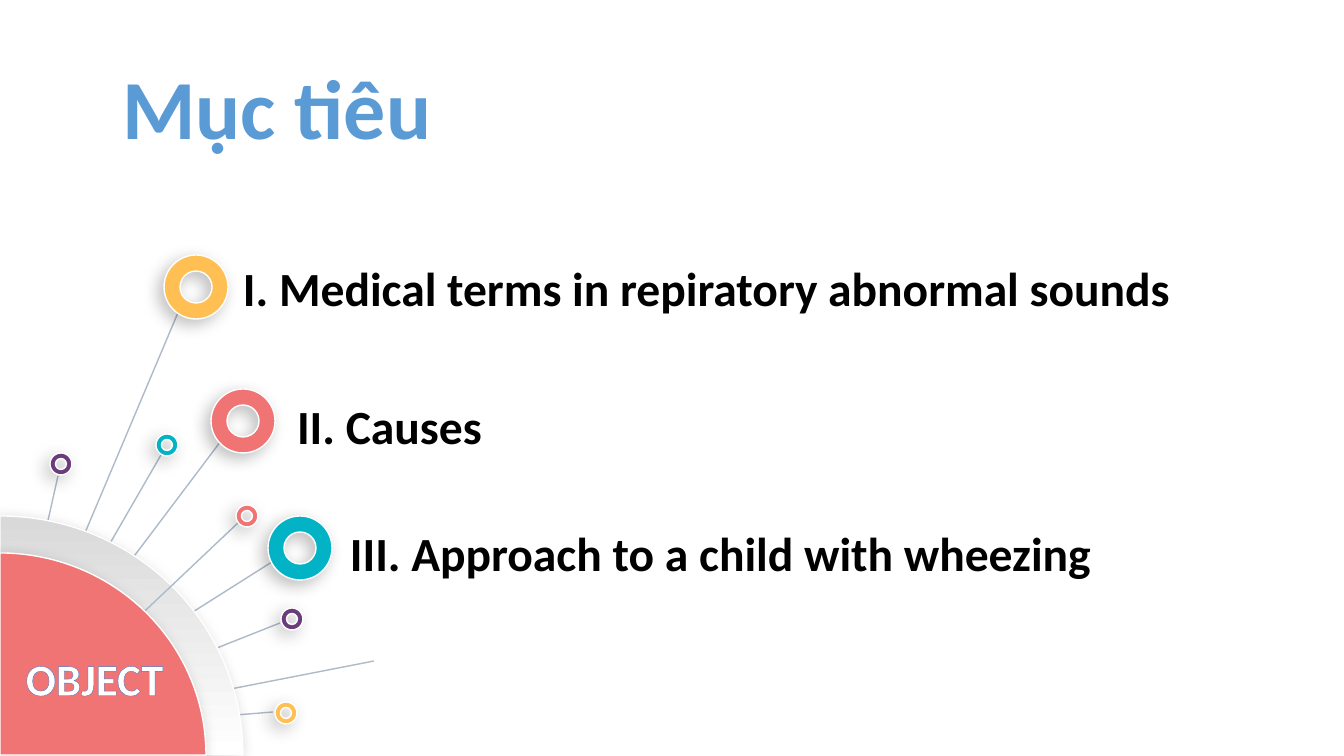
from dataclasses import dataclass
from math import cos, pi, sin

from lxml.etree import SubElement
from pptx import Presentation
from pptx.dml.color import RGBColor
from pptx.enum.shapes import MSO_CONNECTOR, MSO_SHAPE
from pptx.enum.text import MSO_ANCHOR, MSO_AUTO_SIZE, PP_ALIGN
from pptx.oxml.ns import qn
from pptx.util import Pt

EMU_PER_PX = 914400 / 100.8
TITLE_ONLY = 5


def px(length):
    return round(length * EMU_PER_PX)


def rgb(code):
    return RGBColor.from_string(code)


@dataclass(frozen=True)
class Theme:
    font: str = "Calibri"
    title: str = "5B9BD5"
    text: str = "000000"
    white: str = "FFFFFF"
    grey: str = "D9D9D9"
    ray: str = "ADBACA"
    letter_edge: str = "4472C4"
    shadow: str = "000000"
    yellow: str = "FFBF53"
    coral: str = "F07474"
    teal: str = "02B3C5"
    purple: str = "6A3C7C"
    title_size: int = 60
    goal_size: int = 34
    hub_size: int = 32


class SlidePainter:
    def __init__(self, page, theme):
        self.page = page
        self.theme = theme

    def add_text(self, box, text, size, color, align=PP_ALIGN.LEFT):
        frame = box.text_frame
        frame.word_wrap = True
        frame.auto_size = MSO_AUTO_SIZE.NONE
        para = frame.paragraphs[0]
        para.alignment = align
        span = para.add_run()
        span.text = text
        span.font.name = self.theme.font
        span.font.size = Pt(size)
        span.font.bold = True
        span.font.color.rgb = rgb(color)
        return span

    def title(self, text, left, top, width, height):
        box = self.page.shapes.title
        box.left, box.top = px(left), px(top)
        box.width, box.height = px(width), px(height)
        box.text_frame.vertical_anchor = MSO_ANCHOR.MIDDLE
        self.add_text(box, text, self.theme.title_size, self.theme.title)

    def goal(self, text, left, top, width, height):
        box = self.page.shapes.add_textbox(px(left), px(top), px(width), px(height))
        frame = box.text_frame
        frame.margin_left = frame.margin_right = 0
        frame.margin_top = frame.margin_bottom = 0
        frame.vertical_anchor = MSO_ANCHOR.MIDDLE
        self.add_text(box, text, self.theme.goal_size, self.theme.text)

    def hub_label(self, text, left, top, width, height):
        box = self.page.shapes.add_textbox(px(left), px(top), px(width), px(height))
        span = self.add_text(box, text, self.theme.hub_size, self.theme.white, PP_ALIGN.CENTER)
        properties = span._r.get_or_add_rPr()
        edge = SubElement(properties, qn("a:ln"), w=str(Pt(0.8)))
        fill = SubElement(edge, qn("a:solidFill"))
        SubElement(fill, qn("a:srgbClr"), val=self.theme.letter_edge)
        properties.insert(0, edge)

    def ray(self, start, end):
        line = self.page.shapes.add_connector(
            MSO_CONNECTOR.STRAIGHT, *map(px, start), *map(px, end))
        line.line.color.rgb = rgb(self.theme.ray)
        line.line.width = Pt(1)
        SubElement(line._element.spPr, qn("a:effectLst"))

    def finish(self, shape):
        """Add the white edge and the soft shadow."""
        shape.line.color.rgb = rgb(self.theme.white)
        shape.line.width = Pt(1)
        shape.shadow.inherit = False
        effects = shape._element.spPr.find(qn("a:effectLst"))
        shadow = SubElement(effects, qn("a:outerShdw"), blurRad=str(Pt(12)),
                            dist=str(Pt(5)), dir=str(135 * 60000),
                            algn="tr", rotWithShape="0")
        color = SubElement(shadow, qn("a:srgbClr"), val=self.theme.shadow)
        SubElement(color, qn("a:alpha"), val="26000")

    def ring(self, left, top, size, color):
        ring = self.page.shapes.add_shape(
            MSO_SHAPE.DONUT, px(left), px(top), px(size), px(size))
        ring.adjustments[0] = 0.25
        ring.fill.solid()
        ring.fill.fore_color.rgb = rgb(color)
        self.finish(ring)

    def quarter_disc(self, width, height, bottom):
        """Return a quarter ellipse whose centre is on the left slide edge."""
        steps = 60
        angles = [pi / 2 * step / steps for step in range(steps + 1)]
        arc = [(px(width * sin(a)), px(bottom - height * cos(a))) for a in angles]
        builder = self.page.shapes.build_freeform(0, px(bottom))
        builder.add_line_segments(arc, close=True)
        disc = builder.convert_to_shape()
        self.finish(disc)
        return disc


def main():
    deck = Presentation()
    deck.slide_width, deck.slide_height = px(1344), px(756)
    page = deck.slides.add_slide(deck.slide_layouts[TITLE_ONLY])
    theme = Theme()
    painter = SlidePainter(page, theme)

    painter.title("Mục tiêu", 112, 50, 469, 112)

    hub = (0, 734)
    ray_tips = [(273, 712), (58, 476), (161, 455), (280, 623),
                (180, 308), (224, 437), (275, 560), (374, 661)]
    for tip in ray_tips:
        painter.ray(tip, hub)

    rim = painter.quarter_disc(243, 239, 755)
    rim.fill.gradient()
    rim.fill.gradient_angle = 90
    for stop, color in zip(rim.fill.gradient_stops, (theme.white, theme.grey)):
        stop.color.rgb = rgb(color)

    painter.ray((240, 521), (0, 748))

    core = painter.quarter_disc(206, 202, 755)
    core.fill.solid()
    core.fill.fore_color.rgb = rgb(theme.coral)
    painter.hub_label("OBJECT", 9, 646, 171, 65)

    small_rings = [(156, 434, theme.teal), (236, 505, theme.coral),
                   (281, 608, theme.purple), (50, 453, theme.purple),
                   (275, 702, theme.yellow)]
    for left, top, color in small_rings:
        painter.ring(left, top, 22, color)

    goals = [
        ("I. Medical terms in repiratory abnormal sounds", 243, 258, 955, (164, 255), theme.yellow),
        ("II. Causes", 297, 396, 216, (211, 389), theme.coral),
        ("III. Approach to a child with wheezing", 350, 523, 806, (268, 516), theme.teal),
    ]
    for text, left, top, width, ring_corner, color in goals:
        painter.ring(*ring_corner, 64, color)
        painter.goal(text, left, top, width, 58)

    deck.save("out.pptx")


if __name__ == "__main__":
    main()
